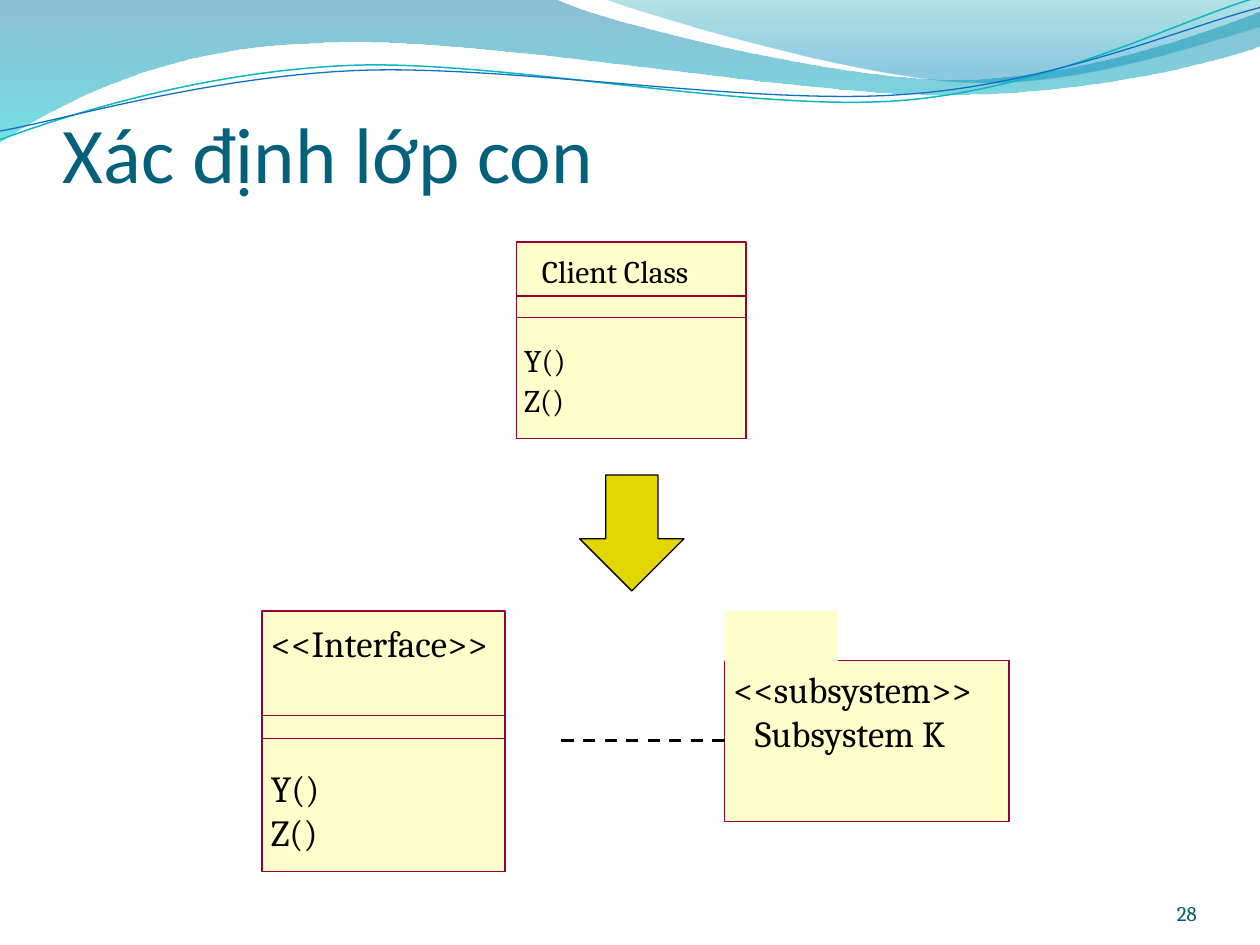
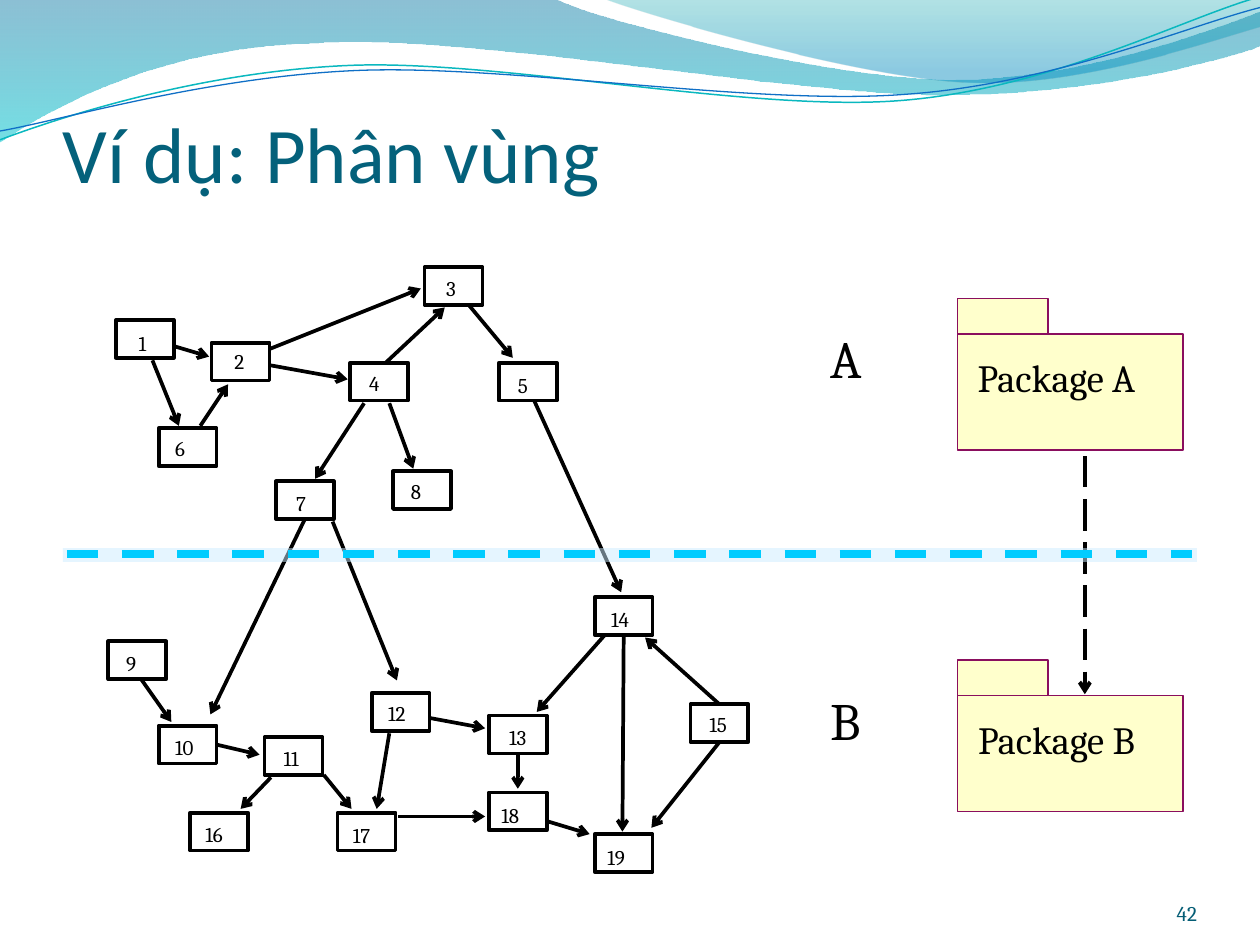
from dataclasses import dataclass
from itertools import islice
from typing import NamedTuple

from lxml.etree import SubElement
from pptx import Presentation
from pptx.dml.color import RGBColor
from pptx.enum.dml import MSO_LINE
from pptx.enum.shapes import MSO_CONNECTOR, MSO_SHAPE
from pptx.enum.text import MSO_ANCHOR, MSO_AUTO_SIZE, PP_ALIGN
from pptx.oxml.ns import qn
from pptx.shapes.autoshape import Shape
from pptx.shapes.connector import Connector
from pptx.slide import Slide
from pptx.util import Inches, Pt

HUES = {
    "title": "04617B", "page": "045D75", "ink": "000000",
    "cream": "FFFFCC", "wine": "990033", "plum": "8A0E5E",
    "gold": "E2D700", "band": "CCECFF", "cyan": "00CCFF",
    "deep": "0074A1", "aqua": "00C6CF", "teal": "00A1A9", "sky": "008BBF",
    "curl": "0AB8BF", "blue": "0F6FC6",
}
HEAD, BODY = "Calibri", "Cambria"
TOP, LEFT, DOWN, RIGHT = range(4)


class Box(NamedTuple):
    x: float
    y: float
    w: float
    h: float


class Dot(NamedTuple):
    x: float
    y: float


class Join(NamedTuple):
    shape: Shape
    side: int


class Node(NamedTuple):
    x: float
    y: float
    dx: float
    dy: float
    width: float = 0.42


class Stop(NamedTuple):
    hue: str
    place: float
    alpha: int


class Link(NamedTuple):
    start: Dot | int
    end: Dot
    side: int = DOWN


@dataclass
class Wave:
    start: Dot
    curves: list[tuple[float, ...]]
    stops: tuple[Stop, ...] = ()
    hue: str = ""
    width: float = 0


@dataclass
class Pen:
    size: float
    hue: str = "ink"
    font: str = BODY
    align: PP_ALIGN = PP_ALIGN.LEFT
    anchor: MSO_ANCHOR = MSO_ANCHOR.TOP
    inset: tuple[float, float, float, float] = (0, 0, 0, 0)
    wrap: bool = False
    grow: bool = True


TITLE = Pen(45, "title", HEAD, anchor=MSO_ANCHOR.BOTTOM, inset=(0, 0.05, 0, 0), wrap=True, grow=False)
PAGE = Pen(12, "page", align=PP_ALIGN.RIGHT, anchor=MSO_ANCHOR.BOTTOM, wrap=True, grow=False)
DIGIT = Pen(12, inset=(0.12, 0.06, 0.12, 0.06), wrap=True)
SMALL, LARGE, SIGN = Pen(18), Pen(21), Pen(30)
PACK = Pen(22, align=PP_ALIGN.CENTER)

WAVES = [
    Wave(Dot(0, 0), [
        (4.4, -0.01),
        (4.76, 0.17, 6.64, 0.63, 7.58, 0.63), (8.53, 0.63, 9.58, 0.26, 10, 0.09),
        (10.01, 0.36),
        (9.83, 0.44, 8.7, 0.76, 7.46, 0.75), (6.22, 0.75, 3.82, 0.28, 2.57, 0.34),
        (1.29, 0.36, 0.46, 0.83, -0.01, 1.13), (0, 0),
    ], stops=(Stop("deep", 0, 45), Stop("aqua", 1, 55))),
    Wave(Dot(4.79, -0.01), [
        (5.09, 0.11, 6.82, 0.62, 7.69, 0.65), (8.56, 0.69, 9.61, 0.32, 10, 0.21),
        (10, 0), (4.79, -0.01),
    ], stops=(Stop("teal", 0, 30), Stop("sky", 0.8, 45))),
    Wave(Dot(0, 1.11), [
        (0.48, 0.93, 1.58, 0.57, 2.77, 0.52), (3.95, 0.47, 5.93, 0.89, 7.13, 0.8),
        (8.33, 0.71, 9.38, 0.15, 9.98, -0.02),
    ], hue="curl", width=0.85),
    Wave(Dot(0, 1.04), [
        (0.47, 0.96, 1.64, 0.61, 2.83, 0.56), (4.03, 0.51, 5.97, 0.84, 7.17, 0.75),
        (8.36, 0.67, 9.41, 0.21, 10, 0.06),
    ], hue="blue", width=0.75),
]

NODES = {
    1: Node(0.92, 2.54, 0.06, 0.02), 2: Node(1.68, 2.72, 0.06, -0.01),
    3: Node(3.37, 2.12, 0.05, 0.01), 4: Node(2.78, 2.88, 0.03, 0),
    5: Node(3.96, 2.88, 0.03, 0.02), 6: Node(1.26, 3.4, 0.01, 0),
    7: Node(2.19, 3.82, 0.04, 0.01), 8: Node(3.12, 3.74, 0.02, 0),
    9: Node(0.86, 5.09, 0.02, 0.01), 10: Node(1.26, 5.76, 0.01, 0.01, 0.58),
    11: Node(2.1, 5.85, 0.03, 0.01, 0.51), 12: Node(2.95, 5.5, 0.01, 0, 0.51),
    13: Node(3.88, 5.68, 0.04, 0.01, 0.56), 14: Node(4.72, 4.74, 0.01, 0.01, 0.65),
    15: Node(5.48, 5.59, 0.03, 0, 0.7), 16: Node(1.51, 6.45, 0, 0.01, 0.6),
    17: Node(2.68, 6.45, 0, 0.02, 0.65), 18: Node(3.88, 6.29, -0.02, 0.02, 0.63),
    19: Node(4.72, 6.62, -0.02, 0.02, 0.63),
}

LINKS = [
    Link(Dot(1.21, 2.86), Dot(1.42, 3.38)), Link(Dot(1.39, 2.75), Dot(1.66, 2.83)),
    Link(Dot(1.59, 3.38), Dot(1.81, 3.05)), Link(Dot(2.14, 2.77), Dot(3.34, 2.29)),
    Link(Dot(3.06, 2.88), Dot(3.53, 2.44)), Link(Dot(2.15, 2.9), Dot(2.76, 3.01)),
    Link(Dot(3.09, 3.2), Dot(3.28, 3.72)), Link(Dot(2.89, 3.2), Dot(2.5, 3.8)),
    Link(Dot(1.12, 5.39), Dot(1.36, 5.73)), Link(7, Dot(1.67, 5.67)),
    Link(10, Dot(2.06, 5.99), RIGHT), Link(Dot(2.15, 6.17), Dot(1.91, 6.42)),
    Link(Dot(2.64, 4.14), Dot(3.15, 5.4)), Link(Dot(3.72, 2.42), Dot(4.07, 2.84)),
    Link(Dot(4.24, 3.18), Dot(4.93, 4.7)), Link(15, Dot(5.12, 5.06), TOP),
    Link(Dot(3.42, 5.7), Dot(3.85, 5.78)), Link(Dot(4.8, 5.04), Dot(4.26, 5.65)),
    Link(Dot(2.57, 6.15), Dot(2.79, 6.42)), Link(Dot(3.09, 5.82), Dot(2.99, 6.42)),
    Link(13, Dot(4.11, 6.26)), Link(Dot(3.16, 6.48), Dot(3.85, 6.48)),
    Link(14, Dot(4.94, 6.6)), Link(15, Dot(5.17, 6.57)),
    Link(Dot(4.35, 6.52), Dot(4.68, 6.62)),
]


def color(name: str) -> RGBColor:
    return RGBColor.from_string(HUES[name])


def fade(shape: Shape, *alphas: int) -> None:
    for tint, alpha in zip(shape.element.iter(qn("a:srgbClr")), alphas):
        SubElement(tint, qn("a:alpha"), val=str(alpha * 1000))


def paint(shape: Shape, fill: str = "", line: str = "", width: float = 0) -> Shape:
    shape.shadow.inherit = False
    if fill:
        shape.fill.solid()
        shape.fill.fore_color.rgb = color(fill)
    else:
        shape.fill.background()
    if line:
        shape.line.color.rgb = color(line)
        shape.line.width = Pt(width)
    else:
        shape.line.fill.background()
    return shape


def block(slide: Slide, box: Box, fill: str = "", line: str = "", width: float = 0,
          kind: MSO_SHAPE = MSO_SHAPE.RECTANGLE) -> Shape:
    return paint(slide.shapes.add_shape(kind, *map(Inches, box)), fill, line, width)


def label(shape: Shape, text: str, pen: Pen) -> None:
    frame = shape.text_frame
    frame.margin_left, frame.margin_top, frame.margin_right, frame.margin_bottom = map(Inches, pen.inset)
    frame.word_wrap = pen.wrap
    frame.auto_size = MSO_AUTO_SIZE.SHAPE_TO_FIT_TEXT if pen.grow else MSO_AUTO_SIZE.NONE
    frame.vertical_anchor = pen.anchor
    line = frame.paragraphs[0]
    line.text = text
    line.alignment = pen.align
    line.font.name = pen.font
    line.font.size = Pt(pen.size)
    line.font.color.rgb = color(pen.hue)


def write(slide: Slide, text: str, box: Box, pen: Pen) -> None:
    label(slide.shapes.add_textbox(*map(Inches, box)), text, pen)


def connect(slide: Slide, start: Dot | Join, end: Dot, width: float, hue: str = "ink",
            dash: MSO_LINE | None = None, arrow: bool = False) -> Connector:
    first = end if isinstance(start, Join) else start
    line = slide.shapes.add_connector(MSO_CONNECTOR.STRAIGHT, *map(Inches, (*first, *end)))
    if isinstance(start, Join):
        line.begin_connect(*start)
    line.line.color.rgb = color(hue)
    line.line.width = Pt(width)
    if dash is not None:
        line.line.dash_style = dash
    props = line.element.spPr
    if arrow:
        SubElement(props.find(qn("a:ln")), qn("a:tailEnd"), type="arrow")
    SubElement(props, qn("a:effectLst"))
    return line


def bend(shape: Shape, curves: list[tuple[float, ...]]) -> None:
    route = next(shape.element.iter(qn("a:path")))
    steps = iter(route.findall(qn("a:lnTo")))
    for curve in curves:
        first, *rest = islice(steps, len(curve) // 2)
        if rest:
            arc = SubElement(route, qn("a:cubicBezTo"))
            first.addprevious(arc)
            for step in (first, *rest):
                arc.append(step[0])
                route.remove(step)


def ripple(slide: Slide, wave: Wave) -> None:
    dots = [(Inches(x), Inches(y)) for curve in wave.curves for x, y in zip(curve[::2], curve[1::2])]
    pen = slide.shapes.build_freeform(*map(Inches, wave.start), scale=1.0)
    pen.add_line_segments(dots, close=False)
    shape = paint(pen.convert_to_shape(), line=wave.hue, width=wave.width)
    bend(shape, wave.curves)
    if wave.stops:
        SubElement(next(shape.element.iter(qn("a:path"))), qn("a:close"))
        shape.fill.gradient()
        shape.fill.gradient_angle = 270
        for mark, stop in zip(shape.fill.gradient_stops, wave.stops):
            mark.color.rgb = color(stop.hue)
            mark.position = stop.place
        fade(shape, *(stop.alpha for stop in wave.stops))


def begin(deck: Presentation, title: str, page: str) -> Slide:
    slide = deck.slides.add_slide(deck.slide_layouts[6])
    for wave in WAVES:
        ripple(slide, wave)
    write(slide, title, Box(0.5, 0.77, 9, 0.81), TITLE)
    write(slide, page, Box(8.67, 6.95, 0.83, 0.4), PAGE)
    return slide


def draw_class(slide: Slide, box: Box, cuts: tuple[float, float]) -> None:
    for cut in (0, *cuts):
        part = Box(box.x, box.y + cut, box.w, box.h - cut)
        block(slide, part, "" if cut else "cream", "wine")


def draw_pack(slide: Slide, name: str, y: float, fill: str = "") -> None:
    block(slide, Box(7.6, y + 0.28, 1.79, 0.92), "cream", "plum", 1)
    block(slide, Box(7.6, y, 0.72, 0.28), "cream", "plum", 1)
    label(block(slide, Box(7.75, y + 0.44, 1.27, 0.32), fill), f"Package {name}", PACK)
    write(slide, name, Box(6.59, y + 0.22, 0.28, 0.44), SIGN)


def draw_split(deck: Presentation) -> None:
    slide = begin(deck, "Xác định lớp con", "28")
    arrow = block(slide, Box(4.6, 3.77, 0.83, 0.92), "gold", "ink", 0.75, MSO_SHAPE.DOWN_ARROW)
    arrow.adjustments[1] = 0.5
    draw_class(slide, Box(4.1, 1.92, 1.82, 1.56), (0.43, 0.6))
    draw_class(slide, Box(2.08, 4.85, 1.93, 2.07), (0.83, 1.01))
    system = block(slide, Box(5.75, 5.24, 2.26, 1.28), "cream", "wine")
    block(slide, Box(5.75, 4.85, 0.9, 0.4), "cream")
    write(slide, "Client Class", Box(4.3, 2, 1.28, 0.3), SMALL)
    for row, call in enumerate(("Y()", "Z()")):
        write(slide, call, Box(4.16, 2.71 + 0.31 * row, 0.44, 0.38), SMALL)
        write(slide, call, Box(2.15, 6.08 + 0.35 * row, 0.39, 0.35), LARGE)
    write(slide, "<<Interface>>", Box(2.15, 4.93, 1.81, 0.35), LARGE)
    write(slide, "<<subsystem>>", Box(5.82, 5.29, 2.07, 0.35), LARGE)
    write(slide, "Subsystem K", Box(5.99, 5.64, 1.72, 0.35), LARGE)
    connect(slide, Join(system, LEFT), Dot(4.42, 5.88), 1.75, dash=MSO_LINE.DASH)


def draw_graph(deck: Presentation) -> None:
    slide = begin(deck, "Ví dụ: Phân vùng", "42")
    cells = {key: block(slide, Box(node.x, node.y, 0.46, 0.3), line="ink", width=2.13)
             for key, node in NODES.items()}
    for link in LINKS:
        start = link.start if isinstance(link.start, Dot) else Join(cells[link.start], link.side)
        connect(slide, start, link.end, 2.13, arrow=True)
    draw_pack(slide, "A", 2.37, "cream")
    draw_pack(slide, "B", 5.24)
    connect(slide, Dot(8.61, 3.62), Dot(8.61, 5.51), 2.25, dash=MSO_LINE.LONG_DASH, arrow=True)
    fade(block(slide, Box(0.5, 4.35, 9, 0.11), "band"), 50)
    connect(slide, Dot(0.53, 4.4), Dot(9.46, 4.4), 4.5, "cyan", MSO_LINE.DASH)
    for key, node in NODES.items():
        write(slide, str(key), Box(node.x + node.dx, node.y + node.dy, node.width, 0.28), DIGIT)


def main() -> None:
    deck = Presentation()
    deck.slide_width, deck.slide_height = Inches(10), Inches(7.5)
    draw_split(deck)
    draw_graph(deck)
    deck.save("out.pptx")


if __name__ == "__main__":
    main()
